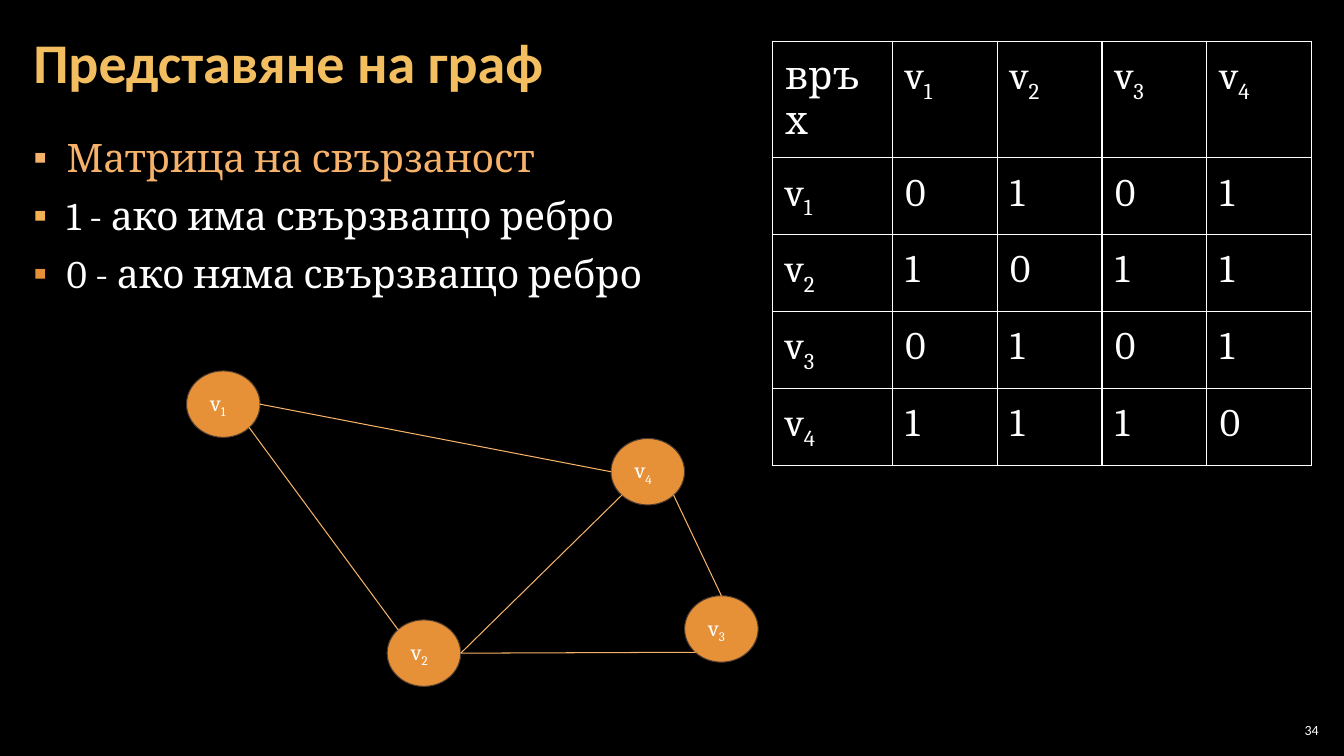
from lxml import etree
from pptx import Presentation
from pptx import util as u
from pptx.dml.color import RGBColor
from pptx.enum import shapes, text
from pptx.oxml import ns

COLORS = {
    "black": "000000",
    "white": "FFFFFF",
    "title": "F3BE60",
    "peach": "F6B26B",
    "yellow": "F2B254",
    "orange": "E69138",
    "outline": "4E3B30",
}
BULLETS = [
    ("Матрица на свързаност", "peach", "peach"),
    ("1 - ако има свързващо ребро", "white", "yellow"),
    ("0 - ако няма свързващо ребро", "white", "orange"),
]
MATRIX = [[0, 1, 0, 1], [1, 0, 1, 1], [0, 1, 0, 1], [1, 1, 1, 0]]
VERTICES = {"v1": (1.85, 3.68), "v2": (3.84, 6.15), "v3": (6.79, 5.91), "v4": (6.06, 4.35)}
VERTEX_SIZE = (0.73, 0.66)
SITES = {
    "top": (0.5, 0),
    "left": (0, 0.5),
    "right": (1, 0.5),
    "top left": (0.15, 0.15),
    "bottom left": (0.15, 0.85),
    "bottom right": (0.85, 0.85),
}
EDGES = [
    ("v1", "bottom right", "v2", "top left"),
    ("v2", "right", "v3", "bottom left"),
    ("v3", "top", "v4", "bottom right"),
    ("v2", "right", "v4", "bottom left"),
    ("v1", "right", "v4", "left"),
]


def rgb(name):
    return RGBColor.from_string(COLORS[name])


def set_box(shape, box):
    shape.left, shape.top, shape.width, shape.height = map(u.Inches, box)


def set_margins(target, horizontal, vertical):
    target.margin_left = target.margin_right = u.Inches(horizontal)
    target.margin_top = target.margin_bottom = u.Inches(vertical)


def style(span, size, color, face="Cambria", bold=False):
    span.font.size = u.Pt(size)
    span.font.name = face
    span.font.bold = bold
    span.font.color.rgb = rgb(color)


def write_label(para, label, size):
    if label.startswith("v"):
        para.text = "v"
        index = para.add_run()
        index.text = label[1:]
        index._r.get_or_add_rPr().set("baseline", "-25000")
    else:
        para.text = label
    for span in para.runs:
        style(span, size, "white")


def add_title(page, box):
    title = page.shapes.title
    set_box(title, box)
    frame = title.text_frame
    frame.text = "Представяне на граф"
    frame.vertical_anchor = text.MSO_ANCHOR.MIDDLE
    set_margins(frame, 0.12, 0.04)
    para = frame.paragraphs[0]
    para.alignment = text.PP_ALIGN.LEFT
    para.line_spacing = 0.9
    style(para.runs[0], 40, "title", "Calibri", True)


def add_bullets(page, box):
    body = page.placeholders[1]
    set_box(body, box)
    frame = body.text_frame
    frame.text = "\n".join(line for line, _, _ in BULLETS)
    set_margins(frame, 0.12, 0.04)
    for para, (_, color, bullet_color) in zip(frame.paragraphs, BULLETS):
        para.line_spacing = 1.05
        para.space_before = u.Pt(0)
        para.space_after = u.Pt(6)
        props = para._p.get_or_add_pPr()
        props.set("marL", str(u.Inches(0.33)))
        props.set("indent", str(-u.Inches(0.33)))
        tint = etree.SubElement(props, ns.qn("a:buClr"))
        etree.SubElement(tint, ns.qn("a:srgbClr")).set("val", COLORS[bullet_color])
        etree.SubElement(props, ns.qn("a:buChar")).set("char", "▪")
        style(para.runs[0], 28, color)


def add_vertex(page, label, box):
    vertex = page.shapes.add_shape(shapes.MSO_SHAPE.OVAL, *map(u.Inches, box))
    vertex.shadow.inherit = False
    vertex.fill.solid()
    vertex.fill.fore_color.rgb = rgb("orange")
    vertex.line.color.rgb = rgb("outline")
    vertex.line.width = u.Pt(0.75)
    frame = vertex.text_frame
    frame.vertical_anchor = text.MSO_ANCHOR.MIDDLE
    set_margins(frame, 0.13, 0.13)
    para = frame.paragraphs[0]
    para.alignment = text.PP_ALIGN.LEFT
    write_label(para, label, 16)


def site_point(vertex, site):
    return [
        u.Inches(start + size * share)
        for start, size, share in zip(VERTICES[vertex], VERTEX_SIZE, SITES[site])
    ]


def add_graph(page):
    for label, corner in VERTICES.items():
        add_vertex(page, label, corner + VERTEX_SIZE)
    for start, start_site, end, end_site in EDGES:
        edge = page.shapes.add_connector(
            shapes.MSO_CONNECTOR.STRAIGHT,
            *site_point(start, start_site),
            *site_point(end, end_site),
        )
        edge.line.color.rgb = rgb("peach")
        edge.line.width = u.Pt(0.75)
        etree.SubElement(edge._element.spPr, ns.qn("a:effectLst"))


def add_borders(cell):
    props = cell._tc.get_or_add_tcPr()
    for side in ("lnL", "lnR", "lnT", "lnB"):
        border = etree.SubElement(props, ns.qn(f"a:{side}"))
        border.set("w", str(u.Pt(1)))
        fill = etree.SubElement(border, ns.qn("a:solidFill"))
        etree.SubElement(fill, ns.qn("a:srgbClr")).set("val", COLORS["white"])


def add_matrix(page, box):
    names = list(VERTICES)
    rows = [["връх"] + names]
    rows += [[name] + [str(value) for value in values] for name, values in zip(names, MATRIX)]
    table = page.shapes.add_table(len(rows), len(rows[0]), *map(u.Inches, box)).table
    table.first_row = table.horz_banding = False
    for column_index, column in enumerate(table.columns):
        column.width = u.Inches(1.04 if column_index else 1.19)
    for row_index, row in enumerate(rows):
        table.rows[row_index].height = u.Inches(0.69)
        for column_index, label in enumerate(row):
            cell = table.cell(row_index, column_index)
            set_margins(cell, 0.13, 0.13)
            add_borders(cell)
            cell.fill.background()
            write_label(cell.text_frame.paragraphs[0], label, 28)


def add_page_number(page, box):
    frame = page.shapes.add_textbox(*map(u.Inches, box)).text_frame
    frame.word_wrap = True
    frame.text = "34"
    frame.vertical_anchor = text.MSO_ANCHOR.MIDDLE
    set_margins(frame, 0.04, 0.04)
    para = frame.paragraphs[0]
    para.alignment = text.PP_ALIGN.RIGHT
    style(para.runs[0], 10, "white", "Calibri")


def main():
    deck = Presentation()
    deck.slide_width, deck.slide_height = u.Inches(13.33), u.Inches(7.5)
    page = deck.slides.add_slide(deck.slide_layouts[1])
    page.background.fill.solid()
    page.background.fill.fore_color.rgb = rgb("black")
    add_title(page, (0.21, 0.04, 12.91, 1.21))
    add_bullets(page, (0.21, 1.26, 12.91, 6.09))
    add_graph(page)
    add_matrix(page, (7.66, 0.41, 5.35, 3.45))
    add_page_number(page, (12.65, 7.14, 0.47, 0.21))
    deck.save("out.pptx")


if __name__ == "__main__":
    main()
